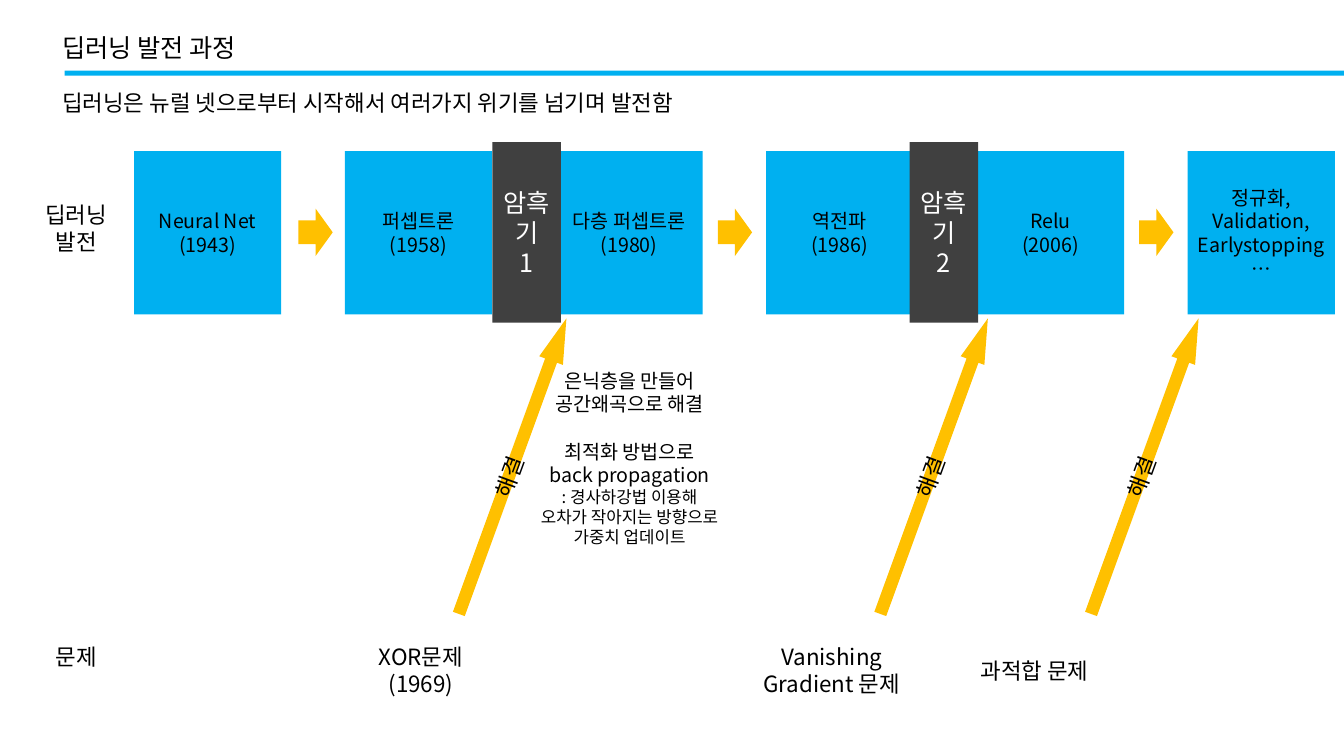
import pptx
import pptx.util
import pptx.dml.color
import pptx.enum.shapes
import pptx.enum.text
import pptx.oxml.ns
import lxml.etree

# Content: columns count along the row of milestone boxes
TITLE = "딥러닝 발전 과정"
SUBTITLE = "딥러닝은 뉴럴 넷으로부터 시작해서 여러가지 위기를 넘기며 발전함"
MILESTONES = [
    ["Neural Net", "(1943)"],
    ["퍼셉트론", "(1958)"],
    ["다층 퍼셉트론", "(1980)"],
    ["역전파", "(1986)"],
    ["Relu", "(2006)"],
    ["정규화,", "Validation,", "Earlystopping", "…"],
]
WINTERS = [(1.7, ["암흑기", "1"]), (3.68, ["암흑기", "2"])]
STEP_COLUMNS = [0.78, 2.77, 4.77]
SOLUTION_COLUMNS = [1.05, 3.05, 4.05]
SOLUTION = ["해결"]
LABELS = [  # left, top, width, height, lines
    (0.28, 1.95, 0.95, 0.64, ["딥러닝", "발전"]),
    (0.28, 6.33, 0.95, 0.37, ["문제"]),
    (3.47, 6.33, 1.41, 0.64, ["XOR문제", "(1969)"]),
    (7.35, 6.33, 1.8, 0.64, ["Vanishing", "Gradient 문제"]),
    (9.36, 6.47, 1.8, 0.37, ["과적합 문제"]),
]
REMEDIES = [  # text, type size, space before
    ("은닉층을 만들어", "box", 0),
    ("공간왜곡으로 해결", "box", 0),
    ("최적화 방법으로", "box", 17),
    ("back propagation", "box", 0),
    (": 경사하강법 이용해", "note", 0),
    ("오차가 작아지는 방향으로 가중치 업데이트", "note", 0),
]

# Theme and grid
THEME = {
    "font": "Noto Sans CJK KR",
    "blue": "00B0F0", "gold": "FFC000", "dark": "404040",
    "black": "000000", "white": "FFFFFF",
    "title": 18, "label": 16, "box": 14, "note": 12,
}
W, H = 13.33, 7.5
FIRST, PITCH = 1.33, 2.09
BOX_W, BOX_H, BOX_TOP = 1.46, 1.62, 1.5
MIDDLE = BOX_TOP + BOX_H / 2

SHAPE = pptx.enum.shapes.MSO_SHAPE
ALIGN = pptx.enum.text.PP_ALIGN
ANCHOR = pptx.enum.text.MSO_ANCHOR
inch = pptx.util.Inches

prs = pptx.Presentation()
prs.slide_width, prs.slide_height = inch(W), inch(H)
s = prs.slides.add_slide(prs.slide_layouts[6])


def color(name):
    return pptx.dml.color.RGBColor.from_string(THEME[name])


def column(n):
    return FIRST + n * PITCH


def write(sp, lines, size, ink="black", align=ALIGN.CENTER, anchor=ANCHOR.TOP):
    tf = sp.text_frame
    tf.word_wrap = True
    tf.vertical_anchor = anchor
    for i, line in enumerate(lines):
        text, step, before = line if isinstance(line, tuple) else (line, size, 0)
        p = tf.paragraphs[0] if i == 0 else tf.add_paragraph()
        p.alignment = align
        if before:
            p.space_before = pptx.util.Pt(before)
        r = p.add_run()
        r.text = text
        look = {"name": THEME["font"], "size": pptx.util.Pt(THEME[step])}
        for key, value in look.items():
            setattr(r.font, key, value)
        r.font.color.rgb = color(ink)
        ea = lxml.etree.SubElement(r.font._element, pptx.oxml.ns.qn("a:ea"))
        ea.set("typeface", THEME["font"])


def label(left, top, width, height, lines, size="label", align=ALIGN.CENTER):
    sp = s.shapes.add_textbox(*map(inch, (left, top, width, height)))
    write(sp, lines, size, align=align)


def block(kind, left, top, width, height, fill, lines=(), size="box", ink="black"):
    sp = s.shapes.add_shape(kind, *map(inch, (left, top, width, height)))
    sp.shadow.inherit = False
    sp.fill.solid()
    sp.fill.fore_color.rgb = color(fill)
    sp.line.fill.background()
    write(sp, lines, size, ink, anchor=ANCHOR.MIDDLE)
    return sp


# Heading
block(SHAPE.RECTANGLE, 0.64, 0.7, W - 0.64, 0.05, "blue")
label(0.52, 0.27, 6.04, 0.4, [TITLE], "title", ALIGN.LEFT)
label(0.52, 0.84, 12.58, 0.37, [SUBTITLE], "label", ALIGN.LEFT)

# Milestones, the dark ages between them, and the steps onward
for n, lines in enumerate(MILESTONES):
    block(SHAPE.RECTANGLE, column(n), BOX_TOP, BOX_W, BOX_H, "blue", lines)
for n, lines in WINTERS:
    block(SHAPE.RECTANGLE, column(n), MIDDLE - 0.9, 0.68, 1.79, "dark",
          lines, "title", "white")
for n in STEP_COLUMNS:
    block(SHAPE.RIGHT_ARROW, column(n), MIDDLE - 0.24, 0.34, 0.47, "gold")

# Problems, remedies and the arrows that solve them
for spot in LABELS:
    label(*spot)
label(5.13, 3.61, 2.23, 1.88, REMEDIES)
for n in SOLUTION_COLUMNS:
    sp = block(SHAPE.RIGHT_ARROW, column(n), 4.5, 3.12, 0.25, "gold", SOLUTION, "label")
    sp.rotation = 290
    sp.adjustments[1] = 1.78

prs.save("out.pptx")
